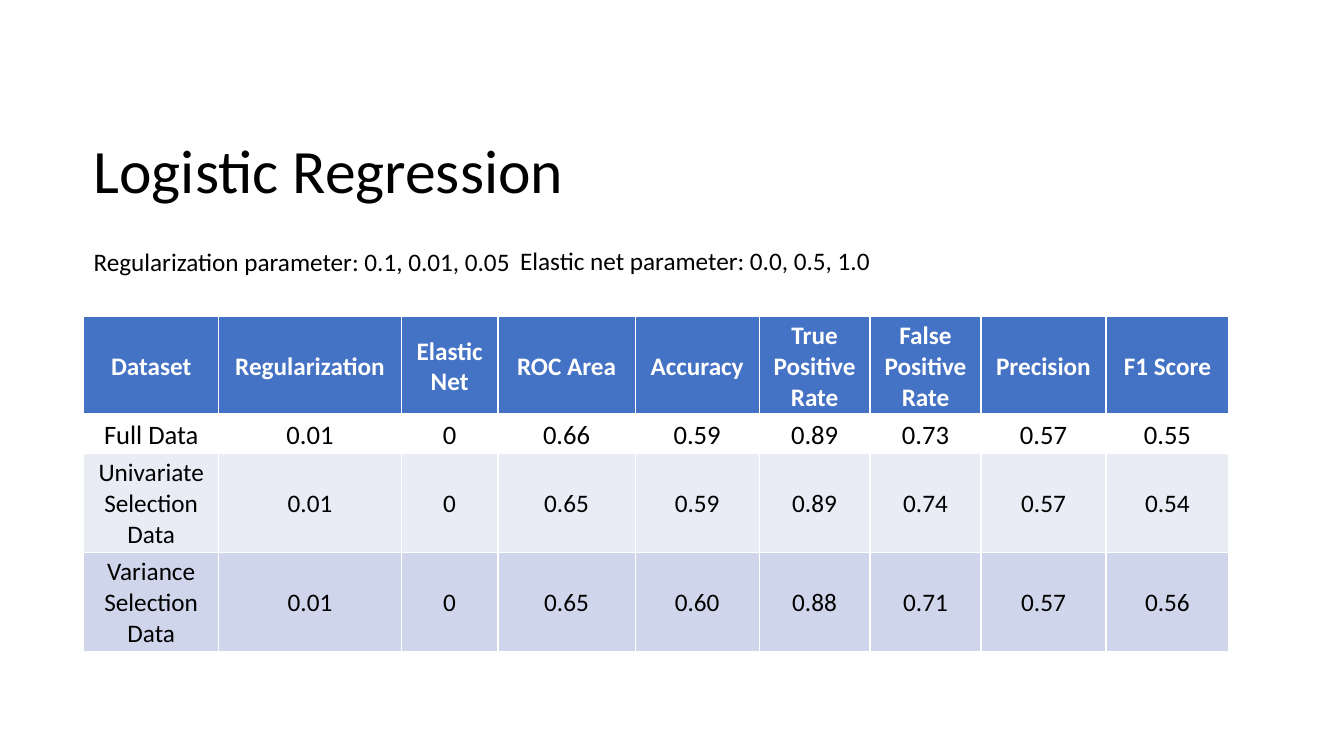
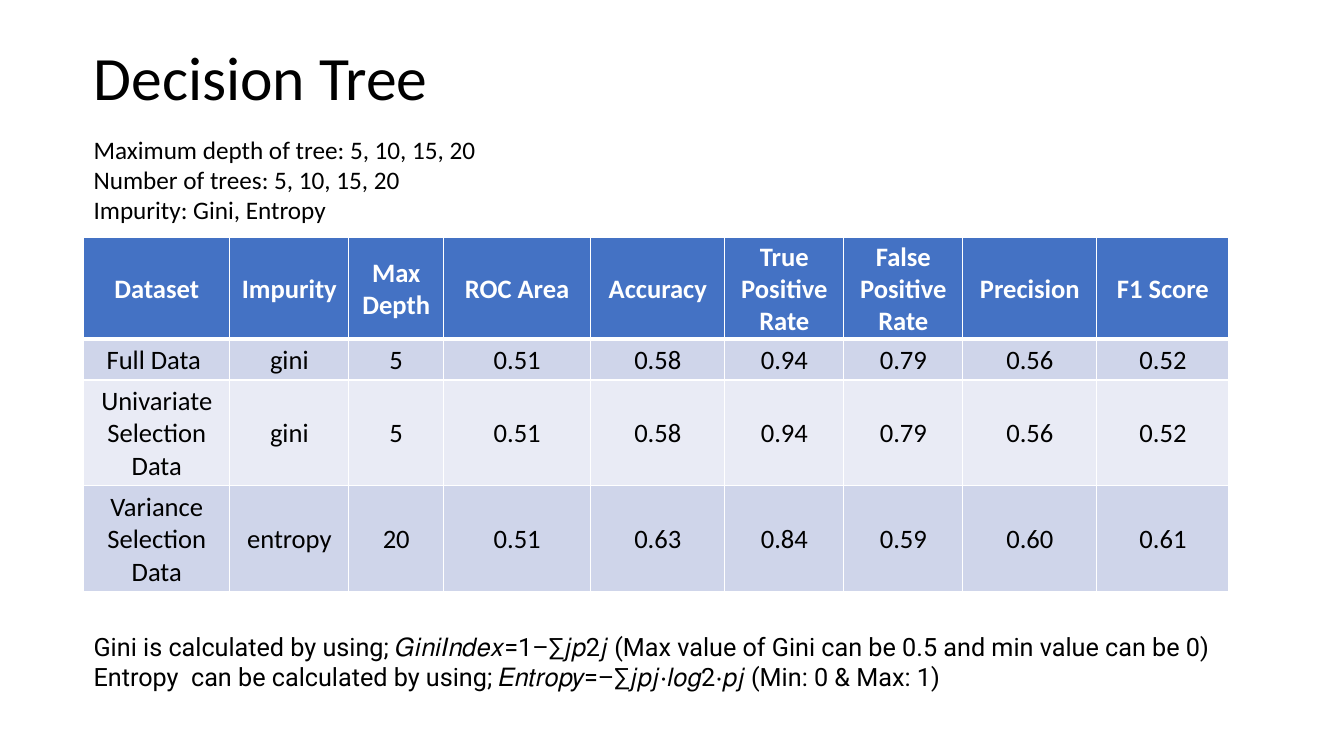
import pptx
import pptx.dml.color
import pptx.enum.text
import pptx.oxml
import pptx.oxml.ns
import pptx.util
from pptx.util import Inches

COLORS = {
    "text": "000000",
    "white": "FFFFFF",
    "header": "4472C4",
    "light_band": "E9EBF5",
    "dark_band": "CFD5EA",
}
LEFT = 0.83
TABLE_WIDTH = 11.35
BODY_FONT = "Calibri"
NOTE_FONT = "Roboto"
METRICS = ["ROC Area", "Accuracy", "True Positive Rate", "False Positive Rate",
           "Precision", "F1 Score"]

LOGISTIC_ROWS = [
    ["Dataset", "Regularization", "Elastic Net"] + METRICS,
    ["Full Data", "0.01", "0", "0.66", "0.59", "0.89", "0.73", "0.57", "0.55"],
    ["Univariate Selection Data", "0.01", "0", "0.65", "0.59", "0.89", "0.74", "0.57", "0.54"],
    ["Variance Selection Data", "0.01", "0", "0.65", "0.60", "0.88", "0.71", "0.57", "0.56"],
]
TREE_ROWS = [
    ["Dataset", "Impurity", "Max Depth"] + METRICS,
    ["Full Data ", "gini", "5", "0.51", "0.58", "0.94", "0.79", "0.56", "0.52"],
    ["Univariate Selection Data", "gini", "5", "0.51", "0.58", "0.94", "0.79", "0.56", "0.52"],
    ["Variance Selection Data", "entropy", "20", "0.51", "0.63", "0.84", "0.59", "0.60", "0.61"],
]
TREE_PARAMETERS = [
    "Maximum depth of tree: 5, 10, 15, 20",
    "Number of trees: 5, 10, 15, 20",
    "Impurity: Gini, Entropy",
]
IMPURITY_NOTES = [
    "Gini is calculated by using; 𝐺𝑖𝑛𝑖𝐼𝑛𝑑𝑒𝑥=1–∑𝑗𝑝2𝑗 (Max value of Gini can be 0.5 and min value can be 0)",
    "Entropy  can be calculated by using; 𝐸𝑛𝑡𝑟𝑜𝑝𝑦=–∑𝑗𝑝𝑗⋅𝑙𝑜𝑔2⋅𝑝𝑗 (Min: 0 & Max: 1)",
]


def rgb(name):
    return pptx.dml.color.RGBColor.from_string(COLORS[name])


def add_run(paragraph, text, size, font=BODY_FONT, color="text", bold=False):
    run = paragraph.add_run()
    run.text = text
    run.font.name = font
    run.font.size = pptx.util.Pt(size)
    run.font.bold = bold
    run.font.color.rgb = rgb(color)


def add_title(slide, text, top):
    shape = slide.shapes.add_textbox(Inches(LEFT), Inches(top), Inches(10.49), Inches(1.57))
    frame = shape.text_frame
    frame.word_wrap = True
    frame.vertical_anchor = pptx.enum.text.MSO_ANCHOR.MIDDLE
    paragraph = frame.paragraphs[0]
    paragraph.line_spacing = 0.9
    add_run(paragraph, text, 44)


def add_text(slide, lines, left, top, width, height, font=BODY_FONT, wrap=False, spacing=1.0):
    shape = slide.shapes.add_textbox(Inches(left), Inches(top), Inches(width), Inches(height))
    frame = shape.text_frame
    frame.word_wrap = wrap
    frame.auto_size = pptx.enum.text.MSO_AUTO_SIZE.SHAPE_TO_FIT_TEXT
    for index, line in enumerate(lines):
        paragraph = frame.add_paragraph() if index else frame.paragraphs[0]
        paragraph.line_spacing = spacing
        add_run(paragraph, line, 18, font)


def set_borders(cell, top, bottom):
    properties = cell._tc.get_or_add_tcPr()
    for side, width in (("L", 1), ("R", 1), ("T", top), ("B", bottom)):
        properties.append(pptx.oxml.parse_xml(
            f'<a:ln{side} {pptx.oxml.ns.nsdecls("a")} w="{pptx.util.Pt(width)}">'
            f'<a:solidFill><a:srgbClr val="{COLORS["white"]}"/></a:solidFill></a:ln{side}>'))


def format_cell(cell, text, size, fill, row):
    header = row == 0
    cell.margin_left = cell.margin_right = cell.margin_top = Inches(0.02)
    cell.margin_bottom = 0
    cell.vertical_anchor = pptx.enum.text.MSO_ANCHOR.MIDDLE
    set_borders(cell, top=3 if row == 1 else 1, bottom=3 if header else 1)
    if fill:
        cell.fill.solid()
        cell.fill.fore_color.rgb = rgb(fill)
    else:
        cell.fill.background()
    paragraph = cell.text_frame.paragraphs[0]
    paragraph.alignment = pptx.enum.text.PP_ALIGN.CENTER
    add_run(paragraph, text, size, color="white" if header else "text", bold=header)


def add_results_table(slide, rows, top, widths, heights, sizes, fills):
    frame = slide.shapes.add_table(len(rows), len(widths), Inches(LEFT), Inches(top),
                                   Inches(TABLE_WIDTH), Inches(sum(heights)))
    table = frame.table
    table.horz_banding = False
    for column, width in zip(table.columns, widths):
        column.width = Inches(width)
    for row, values in enumerate(rows):
        table.rows[row].height = Inches(heights[row])
        for column, value in enumerate(values):
            format_cell(table.cell(row, column), value, sizes[row], fills[row], row)


def add_logistic_slide(presentation):
    slide = presentation.slides.add_slide(presentation.slide_layouts[6])
    add_title(slide, "Logistic Regression", 0.94)
    add_results_table(
        slide, LOGISTIC_ROWS, 3.14,
        widths=[1.34, 1.81, 0.96, 1.36, 1.23, 1.1, 1.1, 1.24, 1.22],
        heights=[0.98, 0.38, 0.98, 0.98], sizes=[18, 19, 18, 18],
        fills=["header", None, "light_band", "dark_band"])
    add_text(slide, ["Regularization parameter: 0.1, 0.01, 0.05"], LEFT, 2.37, 4.38, 0.41,
             spacing=1.07)
    add_text(slide, ["Elastic net parameter: 0.0, 0.5, 1.0"], 5.06, 2.38, 3.71, 0.4)


def add_tree_slide(presentation):
    slide = presentation.slides.add_slide(presentation.slide_layouts[6])
    add_title(slide, "Decision Tree", 0.01)
    add_results_table(
        slide, TREE_ROWS, 2.36,
        widths=[1.45, 1.18, 0.94, 1.46, 1.33, 1.18, 1.18, 1.33, 1.31],
        heights=[1, 0.41, 1.05, 1.05], sizes=[19] * 4,
        fills=["header", "dark_band", "light_band", "dark_band"])
    add_text(slide, TREE_PARAMETERS, LEFT, 1.28, 4.04, 1.01)
    add_text(slide, IMPURITY_NOTES, LEFT, 6.21, TABLE_WIDTH, 1.01, font=NOTE_FONT, wrap=True)


def main():
    presentation = pptx.Presentation()
    presentation.slide_width = Inches(13.33)
    presentation.slide_height = Inches(7.5)
    add_logistic_slide(presentation)
    add_tree_slide(presentation)
    presentation.save("out.pptx")


if __name__ == "__main__":
    main()
